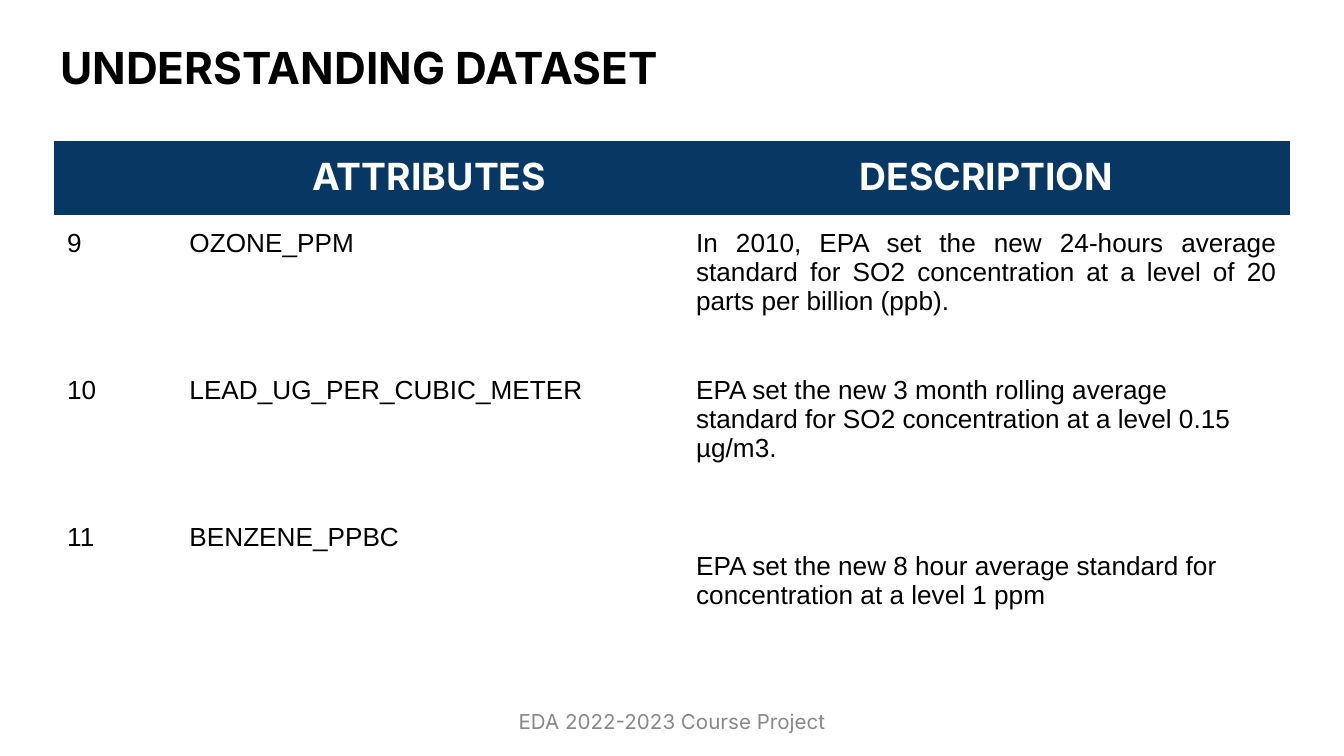
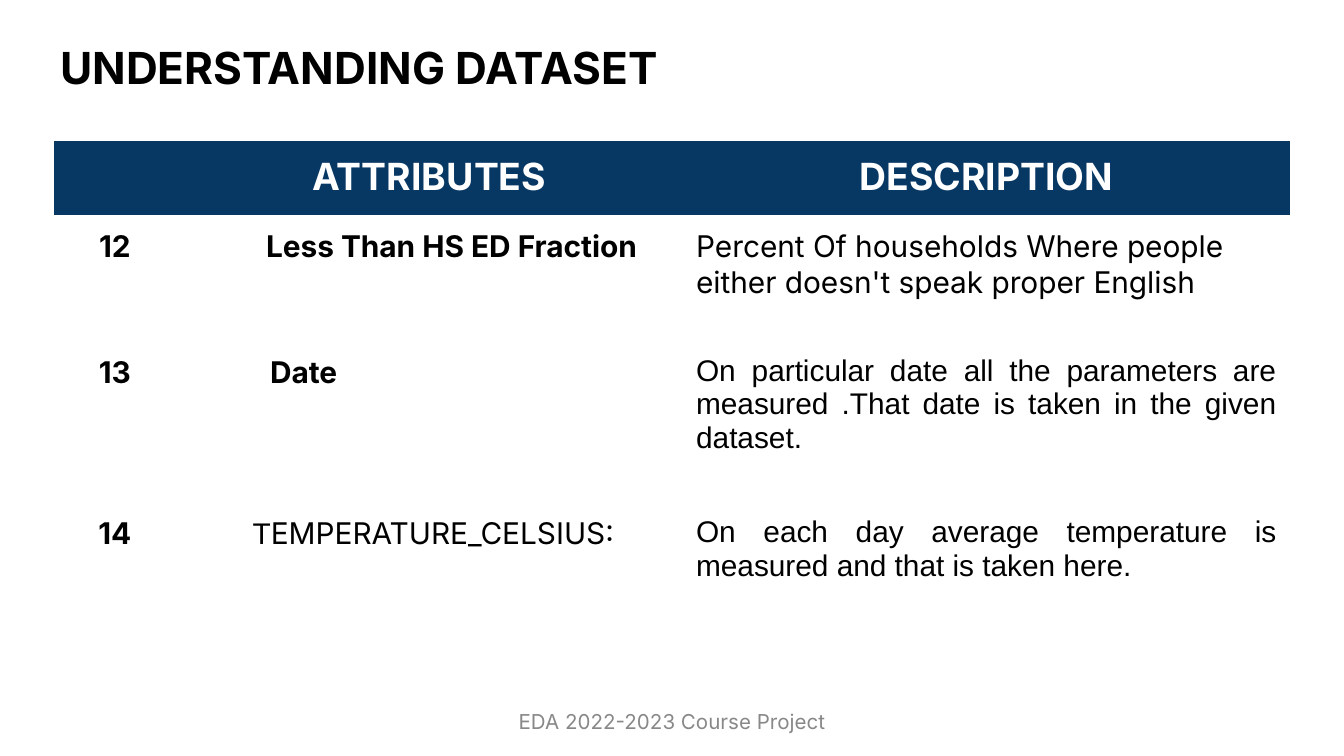
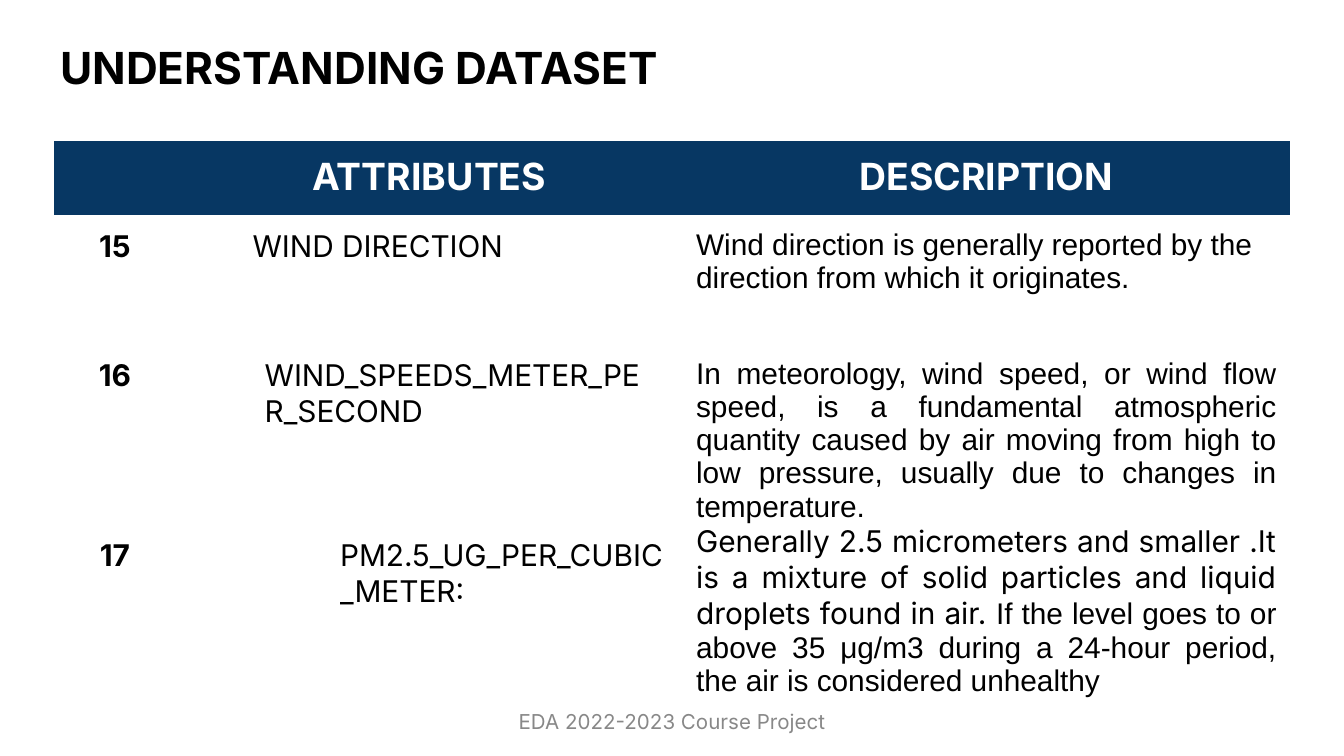
"""Builds three slides that describe the attributes of an air quality dataset."""
from dataclasses import dataclass

from pptx import Presentation
from pptx.dml.color import RGBColor
from pptx.enum.text import MSO_ANCHOR, PP_ALIGN as Align
from pptx.oxml.ns import qn
from pptx.util import Inches, Pt

HEADING, BODY = "Inter", "Arial"
NAVY, WHITE, BLACK, GREY = "073763", "FFFFFF", "000000", "888888"
NO_STYLE = "{2D5ABB26-0587-4C30-8999-92F81FD0307C}"
TITLE = "UNDERSTANDING DATASET"
FOOTER = "EDA 2022-2023 Course Project"
SLIDE_WIDTH = Inches(10)
COLUMN_WIDTHS = (0.91, 3.77, 4.52)
HEADER_HEIGHT = 0.55
TABLE_LEFT, TABLE_TOP = 0.4, 1.05


@dataclass
class Text:
    """A paragraph: its wording or (wording, font) runs, and its style."""
    content: object
    font: str = BODY
    size: float = 16
    bold: bool = False
    color: str = BLACK
    align: object = Align.LEFT
    indent: float = 0
    gap: float = 0


def small(content, **style):
    return Text(content, size=14, **style)


def number(content, gap=0):
    return Text(content, HEADING, bold=True, align=Align.CENTER, gap=gap)


def name(content, indent, **style):
    return Text(content, HEADING, indent=indent, **style)


def justified(content, **style):
    return Text(content, align=Align.JUSTIFY, **style)


def header(content):
    return Text(content, HEADING, 20, True, WHITE, Align.CENTER)


HEADER = ([], [header("ATTRIBUTES")], [header("DESCRIPTION")])

POLLUTANTS = [
    ([small("9"), small("10", gap=63), small("11", gap=63)],
     [small("OZONE_PPM"),
      small("LEAD_UG_PER_CUBIC_METER", gap=63),
      small("BENZENE_PPBC", gap=63)],
     [small("In 2010, EPA set the new 24-hours average standard for SO2 "
            "concentration at a level of 20 parts per billion (ppb).",
            align=Align.JUSTIFY),
      small("EPA set the new 3 month rolling average standard for SO2 "
            "concentration at a level 0.15 µg/m3.", gap=31.5),
      small("EPA set the new 8 hour average standard for concentration "
            "at a level 1 ppm", gap=47.25)]),
]

CONDITIONS = [
    ([number("12")],
     [name("Less Than HS ED Fraction", 0.57, bold=True)],
     [Text("Percent Of households Where people either doesn't speak "
           "proper English", HEADING)]),
    ([number("13")],
     [name("Date", 0.6, bold=True)],
     [justified("On particular date all the parameters are measured .That "
                "date is taken in the given dataset.")]),
    ([number("14")],
     [name([("T", BODY), ("EMPERATURE_CELSIUS:", HEADING)], 0.47)],
     [justified("On each day average temperature is measured and that is "
                "taken here.")]),
]

WIND = [
    ([number("15")],
     [name("WIND DIRECTION", 0.47)],
     [Text("Wind direction is generally reported by the direction from "
           "which it originates.")]),
    ([number("16"), number("17", gap=77)],
     [name("WIND_SPEEDS_METER_PE\vR_SECOND", 0.56),
      name("PM2.5_UG_PER_CUBIC", 1.12, gap=58),
      name("_METER:", 1.12)],
     [justified("In meteorology, wind speed, or wind flow speed, is a "
                "fundamental atmospheric quantity caused by air moving from "
                "high to low pressure, usually due to changes in "
                "temperature."),
      justified([("Generally 2.5 micrometers and smaller .It is a mixture of "
                  "solid particles and liquid droplets found in air. ",
                  HEADING),
                 ("If the level goes to or above 35 μg/m3 during a 24-hour "
                  "period, the air is considered unhealthy", BODY)])]),
    ([], [], []),
]

SLIDES = [
    (POLLUTANTS, (1.47,), 5.42),
    (CONDITIONS, (0.94, 1.2, 1.47), 4.22),
    (WIND, (0.96, 1.16, 1.47), 5.88),
]


def rgb(value):
    return RGBColor.from_string(value)


def write(text_frame, texts):
    for index, text in enumerate(texts):
        paragraph = text_frame.add_paragraph() if index else text_frame.paragraphs[0]
        font = paragraph.font
        if isinstance(text.content, str):
            paragraph.text = text.content
            font.name = text.font
        else:
            for wording, run_font in text.content:
                run = paragraph.add_run()
                run.text = wording
                run.font.name = run_font
        font.size, font.bold = Pt(text.size), text.bold
        font.color.rgb = rgb(text.color)
        paragraph.alignment = text.align
        paragraph.space_before = Pt(text.gap)
        if text.indent:
            properties = paragraph._p.get_or_add_pPr()
            properties.set("marL", str(Inches(text.indent)))
            properties.set("indent", "0")


def add_text(slide, box, text, margin, anchor):
    text_frame = slide.shapes.add_textbox(*map(Inches, box)).text_frame
    text_frame.word_wrap = True
    text_frame.vertical_anchor = anchor
    text_frame.margin_top = text_frame.margin_bottom = Inches(margin)
    write(text_frame, [text])


def add_attribute_table(slide, body, body_heights, frame_height):
    rows = [HEADER, *body]
    box = (TABLE_LEFT, TABLE_TOP, sum(COLUMN_WIDTHS), frame_height)
    frame = slide.shapes.add_table(
        len(rows), len(COLUMN_WIDTHS), *map(Inches, box))
    for style in frame.element.iter(qn("a:tableStyleId")):
        style.text = NO_STYLE
    table = frame.table
    for column, width in zip(table.columns, COLUMN_WIDTHS):
        column.width = Inches(width)
    for row, height, contents in zip(
            table.rows, (HEADER_HEIGHT, *body_heights), rows):
        row.height = Inches(height)
        for cell, texts in zip(row.cells, contents):
            cell.margin_left = cell.margin_right = Inches(0.1)
            cell.margin_top = cell.margin_bottom = Inches(0.1)
            if contents is HEADER:
                cell.fill.solid()
                cell.fill.fore_color.rgb = rgb(NAVY)
            else:
                cell.fill.background()
            write(cell.text_frame, texts)
    frame.height = Inches(frame_height)


def main():
    presentation = Presentation()
    presentation.slide_width = SLIDE_WIDTH
    presentation.slide_height = SLIDE_WIDTH * 9 // 16
    for body, heights, frame_height in SLIDES:
        slide = presentation.slides.add_slide(presentation.slide_layouts[6])
        add_text(slide, (3.76, 5.21, 2.49, 0.31),
                 Text(FOOTER, HEADING, 11, color=GREY, align=Align.JUSTIFY),
                 0.05, MSO_ANCHOR.MIDDLE)
        add_attribute_table(slide, body, heights, frame_height)
        add_text(slide, (0.35, 0.2, 9.16, 0.63),
                 Text(TITLE, HEADING, 23.6, True), 0.1, MSO_ANCHOR.TOP)
    presentation.save("out.pptx")


if __name__ == "__main__":
    main()
